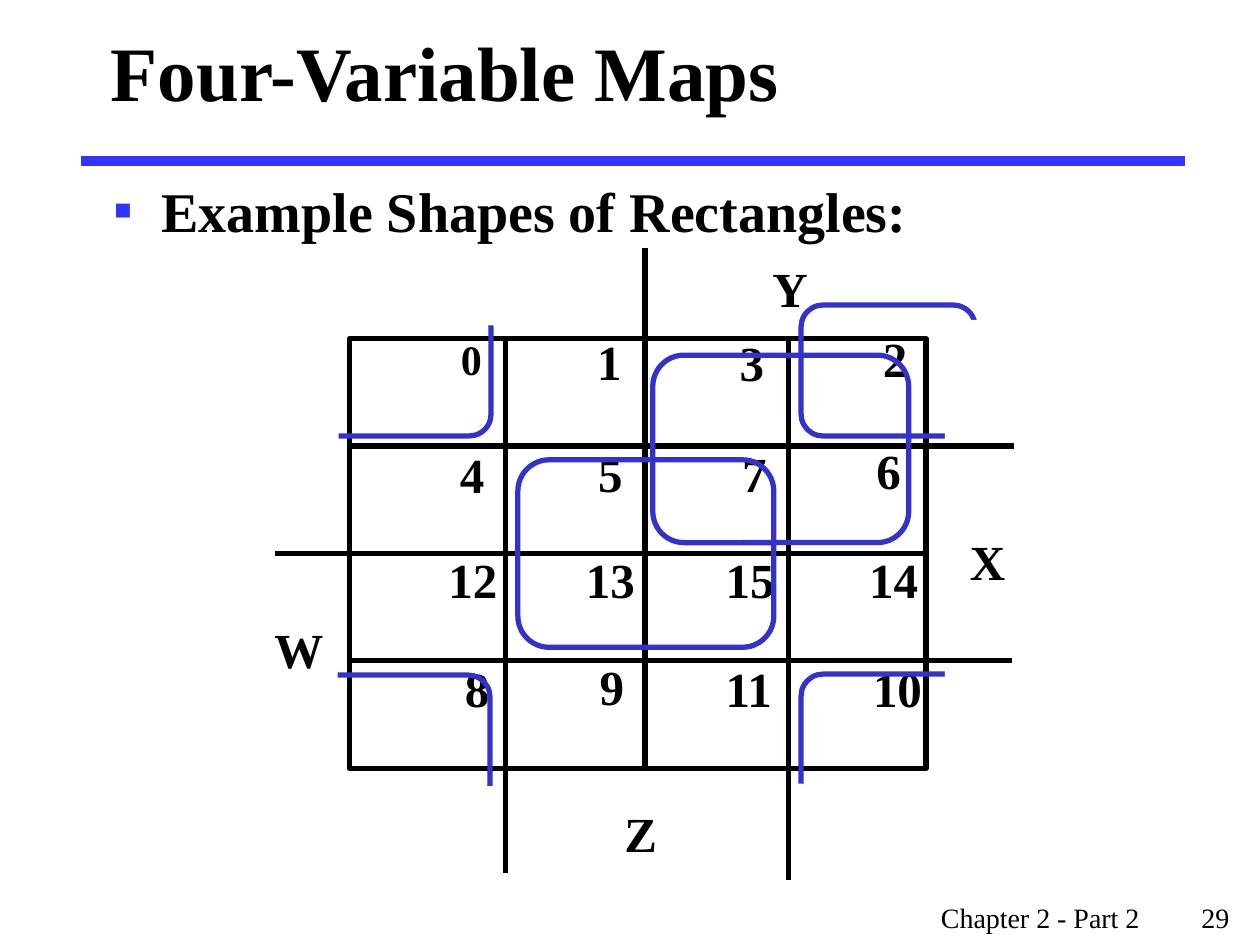
"""Build the four-variable map slide with its example rectangles."""
from dataclasses import dataclass

from lxml.etree import SubElement
from pptx import Presentation
from pptx.dml.color import RGBColor
from pptx.enum.shapes import MSO_CONNECTOR, MSO_SHAPE
from pptx.enum.text import MSO_ANCHOR, MSO_AUTO_SIZE, PP_ALIGN
from pptx.oxml.ns import qn
from pptx.util import Cm, Pt

COLORS = {"ink": "000000", "accent": "3333FF", "loop": "3333CC", "paper": "FFFFFF"}
FONT = "Times New Roman"


@dataclass
class Box:
    x: float
    y: float
    w: float
    h: float

    def emu(self) -> list:
        return [Cm(v) for v in (self.x, self.y, self.w, self.h)]


@dataclass
class Rule:
    x1: float
    y1: float
    x2: float
    y2: float
    color: str = "ink"
    width: float = 3


@dataclass
class Label:
    text: str
    x: float
    y: float
    size: float = 28
    w: float = 1.22


@dataclass
class Corner:
    loop: Box
    masks: list


TWO = 1.85
GRID = Box(7.04, 6.83, 11.63, 8.66)
MIDDLE = GRID.y + GRID.h / 2
HEADER_RULE = Rule(1.63, 3.25, 23.88, 3.25, "accent", 6)
COLUMN_RULES = [
    Rule(13, 5, 13, 15.54),
    Rule(10.19, 6.86, 10.19, 17.6),
    Rule(15.9, 6.78, 15.9, 17.73),
]
ROW_RULES = [Rule(6.99, 8.99, 20.45, 8.99), Rule(7.06, 13.31, 20.4, 13.31)]
W_RULE = Rule(5.54, MIDDLE, GRID.x + GRID.w, MIDDLE)

CELLS = [
    Label("0", 9.04, 6.6, 24), Label("1", 11.79, 6.55),
    Label("3", 14.66, 6.58), Label("2", 17.55, 6.5),
    Label("4", 9.02, 8.84), Label("5", 11.81, 8.81),
    Label("7", 14.71, 8.81), Label("6", 17.42, 8.76),
    Label("12", 8.79, 10.95, w=TWO), Label("13", 11.56, 10.95, w=TWO),
    Label("15", 14.38, 10.95, w=TWO), Label("14", 17.27, 10.95, w=TWO),
    Label("8", 9.12, 13.16), Label("9", 11.84, 13.11),
    Label("11", 14.38, 13.16, w=TWO), Label("10", 17.35, 13.16, w=TWO),
]
VARIABLES = [
    Label("X", 19.3, 10.59), Label("Y", 15.32, 5.08),
    Label("Z", 12.34, 16.08), Label("W", 5.28, 12.37, w=1.5),
]
LOOPS = [Box(13.16, 7.16, 5.16, 3.78), Box(10.44, 9.27, 5.16, 3.78)]
CORNERS = [
    Corner(Box(16.15, 6.15, 3.51, 2.64), [Box(19.05, 6.45, 0.91, 2.44)]),
    Corner(Box(6.17, 6.15, 3.73, 2.64),
           [Box(5.54, 5.92, 4.52, 0.64), Box(5.84, 6.45, 0.99, 2.44)]),
    Corner(Box(6.15, 13.61, 3.73, 2.64),
           [Box(5.51, 15.85, 4.52, 0.64), Box(5.82, 13.51, 0.99, 2.44)]),
    Corner(Box(16.15, 13.59, 3.51, 2.64),
           [Box(16.03, 15.8, 4.24, 0.64), Box(19.05, 13.49, 0.91, 2.44)]),
]


def rgb(name: str) -> RGBColor:
    return RGBColor.from_string(COLORS[name])


def add_run(p, text: str, size: float, bold: bool = True) -> None:
    r = p.add_run()
    r.text = text
    r.font.name = FONT
    r.font.size = Pt(size)
    r.font.bold = bold
    r.font.color.rgb = rgb("ink")


def add_rule(slide, rule: Rule):
    ends = [Cm(v) for v in (rule.x1, rule.y1, rule.x2, rule.y2)]
    sp = slide.shapes.add_connector(MSO_CONNECTOR.STRAIGHT, *ends)
    sp.line.color.rgb = rgb(rule.color)
    sp.line.width = Pt(rule.width)
    SubElement(sp._element.spPr, qn("a:effectLst"))
    return sp


def add_outline(slide, kind, box: Box, color: str):
    sp = slide.shapes.add_shape(kind, *box.emu())
    sp.shadow.inherit = False
    sp.fill.background()
    sp.line.color.rgb = rgb(color)
    sp.line.width = Pt(3)
    return sp


def add_mask(slide, box: Box) -> None:
    sp = slide.shapes.add_shape(MSO_SHAPE.RECTANGLE, *box.emu())
    sp.shadow.inherit = False
    sp.fill.solid()
    sp.fill.fore_color.rgb = rgb("paper")
    sp.line.fill.background()


def add_text(slide, box: Box, text: str, size: float, bold: bool = True):
    tf = slide.shapes.add_textbox(*box.emu()).text_frame
    tf.word_wrap = True
    p = tf.paragraphs[0]
    add_run(p, text, size, bold)
    return p


def add_label(slide, label: Label) -> None:
    height = 1.27 if label.size < 28 else 1.45
    add_text(slide, Box(label.x, label.y, label.w, height), label.text, label.size)


def fill_placeholder(sp, box: Box, text: str, size: float, anchor):
    sp.left, sp.top, sp.width, sp.height = box.emu()
    tf = sp.text_frame
    tf.auto_size = MSO_AUTO_SIZE.NONE
    tf.vertical_anchor = anchor
    p = tf.paragraphs[0]
    p.alignment = PP_ALIGN.LEFT
    p.space_before = Pt(0)
    add_run(p, text, size)
    return p


def set_bullet(p, char: str, indent: float) -> None:
    pPr = p._p.get_or_add_pPr()
    pPr.set("marL", str(Cm(indent)))
    pPr.set("indent", str(-Cm(indent)))
    clr = SubElement(pPr, qn("a:buClr"))
    SubElement(clr, qn("a:srgbClr"), val=COLORS["accent"])
    SubElement(pPr, qn("a:buFont"), typeface=FONT)
    SubElement(pPr, qn("a:buChar"), char=char)


def set_tab(p, pos: float) -> None:
    tabs = SubElement(p._p.get_or_add_pPr(), qn("a:tabLst"))
    SubElement(tabs, qn("a:tab"), pos=str(Cm(pos)), algn="l")


def main() -> None:
    prs = Presentation()
    prs.slide_width, prs.slide_height = Cm(25.4), Cm(19.05)
    slide = prs.slides.add_slide(prs.slide_layouts[1])

    add_rule(slide, HEADER_RULE)
    fill_placeholder(slide.shapes.title, Box(1.98, 0, 21.59, 2.84),
                     "Four-Variable Maps", 44, MSO_ANCHOR.MIDDLE)
    p = fill_placeholder(slide.placeholders[1], Box(2.03, 3.43, 21.59, 13.13),
                         "Example Shapes of Rectangles:", 32, MSO_ANCHOR.TOP)
    set_bullet(p, "▪", 0.97)
    footer = add_text(slide, Box(18.72, 18.03, 6.6, 0.94),
                      "Chapter 2 - Part 2\t29", 16, bold=False)
    set_tab(footer, 5.25)

    for rule in COLUMN_RULES:
        add_rule(slide, rule)
    for label in CELLS:
        add_label(slide, label)
    grid = add_outline(slide, MSO_SHAPE.RECTANGLE, GRID, "ink")
    add_rule(slide, W_RULE).end_connect(grid, 3)
    for rule in ROW_RULES:
        add_rule(slide, rule)
    for label in VARIABLES:
        add_label(slide, label)

    for loop in LOOPS:
        add_outline(slide, MSO_SHAPE.ROUNDED_RECTANGLE, loop, "loop")
    for corner in CORNERS:
        add_outline(slide, MSO_SHAPE.ROUNDED_RECTANGLE, corner.loop, "loop")
        for mask in corner.masks:
            add_mask(slide, mask)

    prs.save("out.pptx")


if __name__ == "__main__":
    main()
